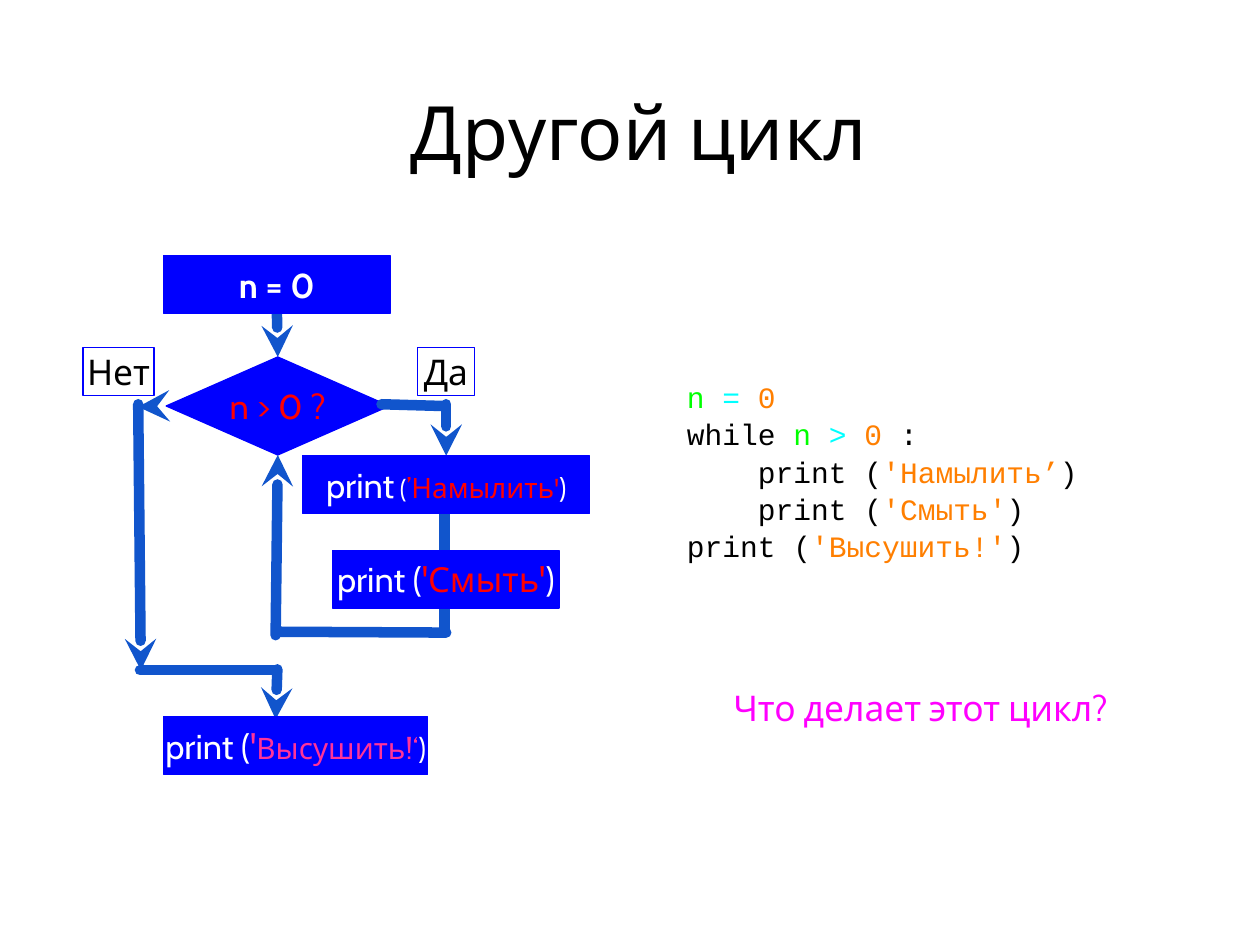
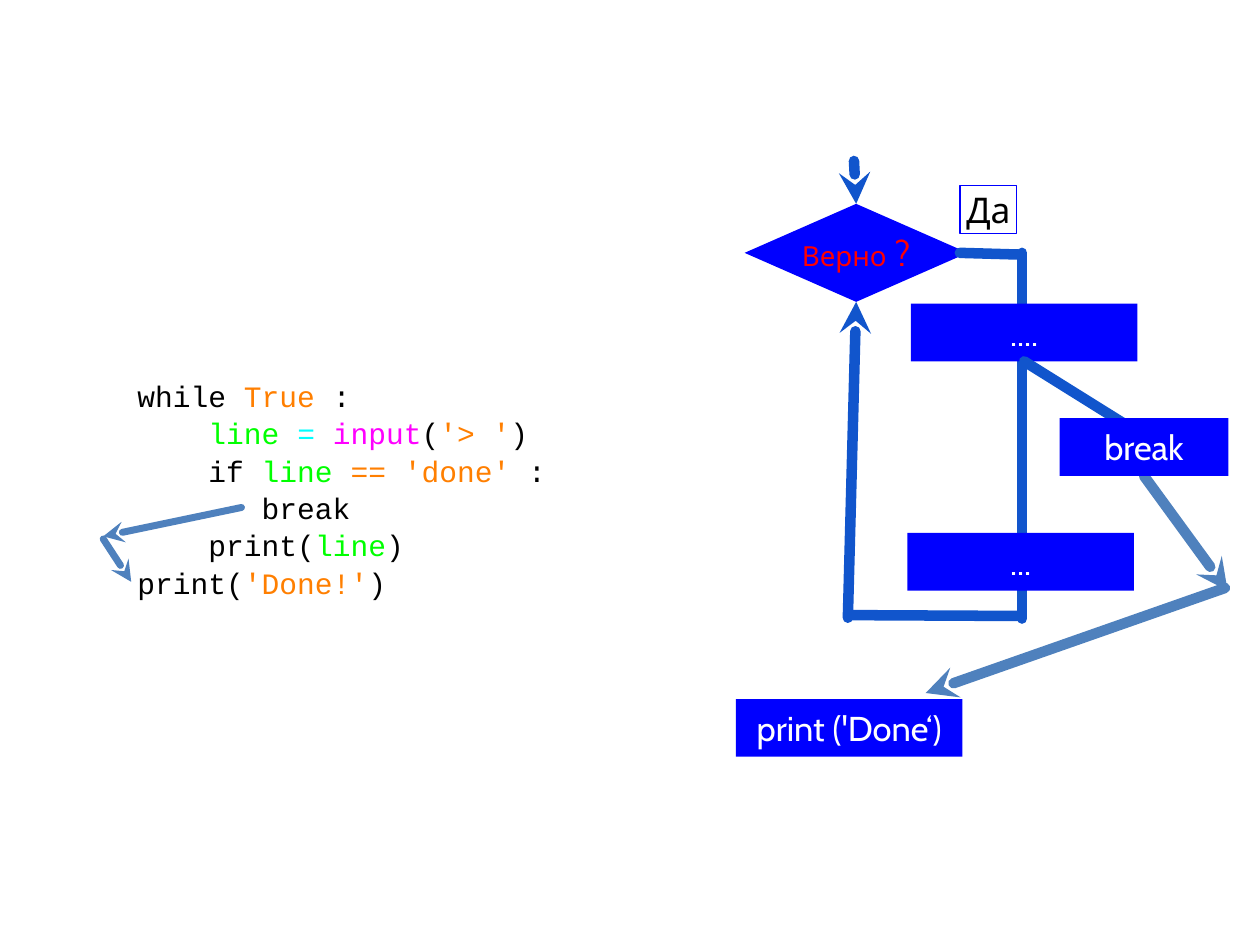
from lxml import etree
from pptx import Presentation
from pptx.dml.color import RGBColor
from pptx.enum import shapes, text
from pptx.oxml import ns
from pptx.util import Pt

BLUE, WHITE, BLACK, RED = "0000FF", "FFFFFF", "000000", "FF0000"
FLOW, JUMP = "1155CC", "4F81BD"
GREEN, CYAN, ORANGE, MAGENTA, PINK = "00FF00", "00FFFF", "FF7F00", "FF00FF", "FF3399"
TOP, LEFT, BOTTOM = 0, 1, 2
BOX_WIDTH, BOX_HEIGHT = 129.5, 33
TITLE_ONLY, BLANK = 5, 6


def rgb(value):
    return RGBColor.from_string(value)


class Flowchart:
    """Holds the deck, the current page and the shared style."""

    face, code_face = "Cabin", "Courier New"
    box_size, label_size, code_size, title_size = 19.7, 20.2, 16.9, 42.8

    def __init__(self):
        self.deck = Presentation()
        self.deck.slide_width, self.deck.slide_height = Pt(720), Pt(540)

    def new_page(self, title=None):
        layout = self.deck.slide_layouts[TITLE_ONLY if title else BLANK]
        self.page = self.deck.slides.add_slide(layout)
        if title:
            box = self.page.shapes.title
            box.left, box.top, box.width, box.height = map(Pt, (219.5, 24, 291.5, 101.5))
            self.set_text(box, [[(title,)]], self.title_size, BLACK, inset=1.5)

    def set_text(self, box, lines, size, color, face=None, inset=0, wrap=True,
                 align=text.PP_ALIGN.CENTER, gap=0, bold=None):
        """Each line is a list of spans: (text, colour, size), the last two optional."""
        frame = box.text_frame
        frame.word_wrap = wrap
        frame.auto_size = text.MSO_AUTO_SIZE.NONE
        frame.vertical_anchor = text.MSO_ANCHOR.MIDDLE
        frame.margin_left = frame.margin_right = Pt(inset)
        frame.margin_top = frame.margin_bottom = Pt(inset)
        for number, spans in enumerate(lines):
            para = frame.add_paragraph() if number else frame.paragraphs[0]
            para.alignment = align
            if number and gap:
                para.space_before = Pt(gap)
            para.font.name, para.font.size = face or self.face, Pt(size)
            para.font.bold = bold
            for words, *style in spans:
                span = para.add_run()
                span.text = words
                span.font.color.rgb = rgb(style[0] if style else color)
                if len(style) > 1:
                    span.font.size = Pt(style[1])

    def shape(self, kind, place, spans, color, size, fill=BLUE, outline=True, bold=None):
        box = self.page.shapes.add_shape(kind, *map(Pt, place))
        box.shadow.inherit = False
        if fill:
            box.fill.solid()
            box.fill.fore_color.rgb = rgb(fill)
        else:
            box.fill.background()
        if outline:
            box.line.color.rgb = rgb(BLUE)
            box.line.width = Pt(0.75)
        else:
            box.line.fill.background()
        self.set_text(box, [spans], size, color, wrap=False, bold=bold)
        return box

    def step(self, left, top, *spans, width=BOX_WIDTH, **style):
        return self.shape(shapes.MSO_SHAPE.RECTANGLE, (left, top, width, BOX_HEIGHT),
                          spans, WHITE, self.box_size, **style)

    def test(self, left, top, *spans, **style):
        return self.shape(shapes.MSO_SHAPE.DIAMOND, (left, top, 127.5, 56),
                          spans, RED, self.box_size, **style)

    def label(self, left, top, words, width=32.5):
        self.shape(shapes.MSO_SHAPE.RECTANGLE, (left, top, width, 27.5),
                   [(words,)], BLACK, self.label_size, fill=None)

    def line(self, start, end, arrow=False, color=FLOW, width=6):
        link = self.page.shapes.add_connector(
            shapes.MSO_CONNECTOR.STRAIGHT, *map(Pt, (*start, *end)))
        link.line.color.rgb = rgb(color)
        link.line.width = Pt(width)
        stroke = link.line._get_or_add_ln()
        stroke.set("cap", "rnd")
        etree.SubElement(stroke, ns.qn("a:round"))
        if arrow:
            etree.SubElement(stroke, ns.qn("a:tailEnd"), type="stealth")
        etree.SubElement(link._element.spPr, ns.qn("a:effectLst"))
        return link

    def arrow(self, start, end, **style):
        return self.line(start, end, arrow=True, **style)

    def note(self, place, words, color):
        box = self.page.shapes.add_textbox(*map(Pt, place))
        self.set_text(box, [[(words,)]], self.label_size, color)

    def code(self, place, lines):
        box = self.page.shapes.add_textbox(*map(Pt, place))
        self.set_text(box, lines, self.code_size, BLACK, face=self.code_face,
                      align=text.PP_ALIGN.LEFT, gap=1.06)


def build_counted_loop(chart):
    chart.new_page("Другой цикл")
    chart.code((392.5, 208, 268.5, 122.5), [
        [("n ", GREEN), ("= ", CYAN), ("0", ORANGE)],
        [("while ",), ("n ", GREEN), ("> ", CYAN), ("0 ", ORANGE), (":",)],
        [("    print (",), ("'Намылить’", ORANGE), (")",)],
        [("    print (",), ("'Смыть'", ORANGE), (")",)],
        [("print (",), ("'Высушить!'", ORANGE), (")",)],
    ])

    # Loop test and its branches
    enter = chart.arrow((158, 179), (158.5, 204))
    test = chart.test(95, 204, ("n > 0 ?",))
    repeat = chart.arrow((157.5, 363), (158.5, 260))
    chart.line((252.5, 232), (218, 231))
    yes = chart.arrow((255, 231), (254, 260))
    chart.line((254, 268), (254, 361))
    chart.line((158.5, 361), (255, 361.5))
    leave = chart.arrow((96.5, 232), (79, 232.5))
    chart.arrow((158.5, 382.5), (157.5, 411))
    chart.arrow((79, 231), (80.5, 383))
    chart.line((80, 383), (157.5, 383))
    chart.label(47.5, 198.5, "Нет", width=40.5)
    chart.label(238.5, 198.5, "Да")

    # Steps
    chart.step(93.5, 409.5, ("print (",), ("'", PINK), ("Высушить!‘", PINK, 16.9),
               (")", WHITE, 16.9), width=151)
    begin = chart.step(93.5, 146, ("n = 0",), bold=True)
    lather = chart.step(173, 260.5, ("print",), (" (", WHITE, 14.6), ("’Намылить", RED, 16),
                        ("'", RED, 14.6), (")", WHITE, 16), width=164)
    chart.step(190, 314.5, ("print (",), ("'Смыть'", RED), (")",))

    # Joints
    enter.begin_connect(begin, BOTTOM)
    enter.end_connect(test, TOP)
    repeat.end_connect(test, BOTTOM)
    yes.end_connect(lather, TOP)
    leave.begin_connect(test, LEFT)

    chart.note((399, 390.5, 254, 27.5), "Что делает этот цикл?", MAGENTA)


def build_endless_loop(chart):
    chart.new_page()

    # Loop test and the way round
    enter = chart.arrow((488, 92), (489, 117))
    test = chart.test(425.5, 116.5, ("Верно", RED, 15.8), (" ?", RED, 20.2), outline=False)
    repeat = chart.arrow((484.5, 353), (489, 175))
    chart.line((583, 145.5), (548.5, 144.5))
    chart.line((584, 353.5), (584, 144.5))
    chart.line((485.5, 351.5), (582, 352))

    # Steps and the way out
    chart.step(420.5, 399.5, ("print ('Done‘)",), outline=False)
    first = chart.step(520.5, 173.5, ("....",), outline=False)
    chart.step(518.5, 304.5, ("...",), outline=False)
    leave = chart.arrow((656, 271.5), (701.5, 337.5), color=JUMP)
    chart.arrow((700, 336), (529, 396), color=JUMP)
    branch = chart.line((585.5, 209), (647, 245))
    stop = chart.step(605.5, 239, ("break",), width=96.5, outline=False)
    chart.label(548.5, 106, "Да")

    # Joints
    enter.end_connect(test, TOP)
    repeat.end_connect(test, BOTTOM)
    branch.begin_connect(first, BOTTOM)
    leave.begin_connect(stop, BOTTOM)

    # Code and the jump out of it
    chart.code((78.5, 206, 290, 147), [
        [("while ",), ("True ", ORANGE), (":",)],
        [("    line ", GREEN), ("= ", CYAN), ("input", MAGENTA), ("(",),
         ("'> '", ORANGE), (")",)],
        [("    if ",), ("line ", GREEN), ("== 'done'", ORANGE), (" :",)],
        [("       break",)],
        [("    print(",), ("line", GREEN), (")",)],
        [("print(",), ("'Done!'", ORANGE), (")",)],
    ])
    chart.arrow((59, 308), (75, 332.5), color=JUMP, width=4)
    chart.arrow((138, 290), (59, 306.5), color=JUMP, width=4)


def main():
    chart = Flowchart()
    build_counted_loop(chart)
    build_endless_loop(chart)
    chart.deck.save("out.pptx")


if __name__ == "__main__":
    main()
